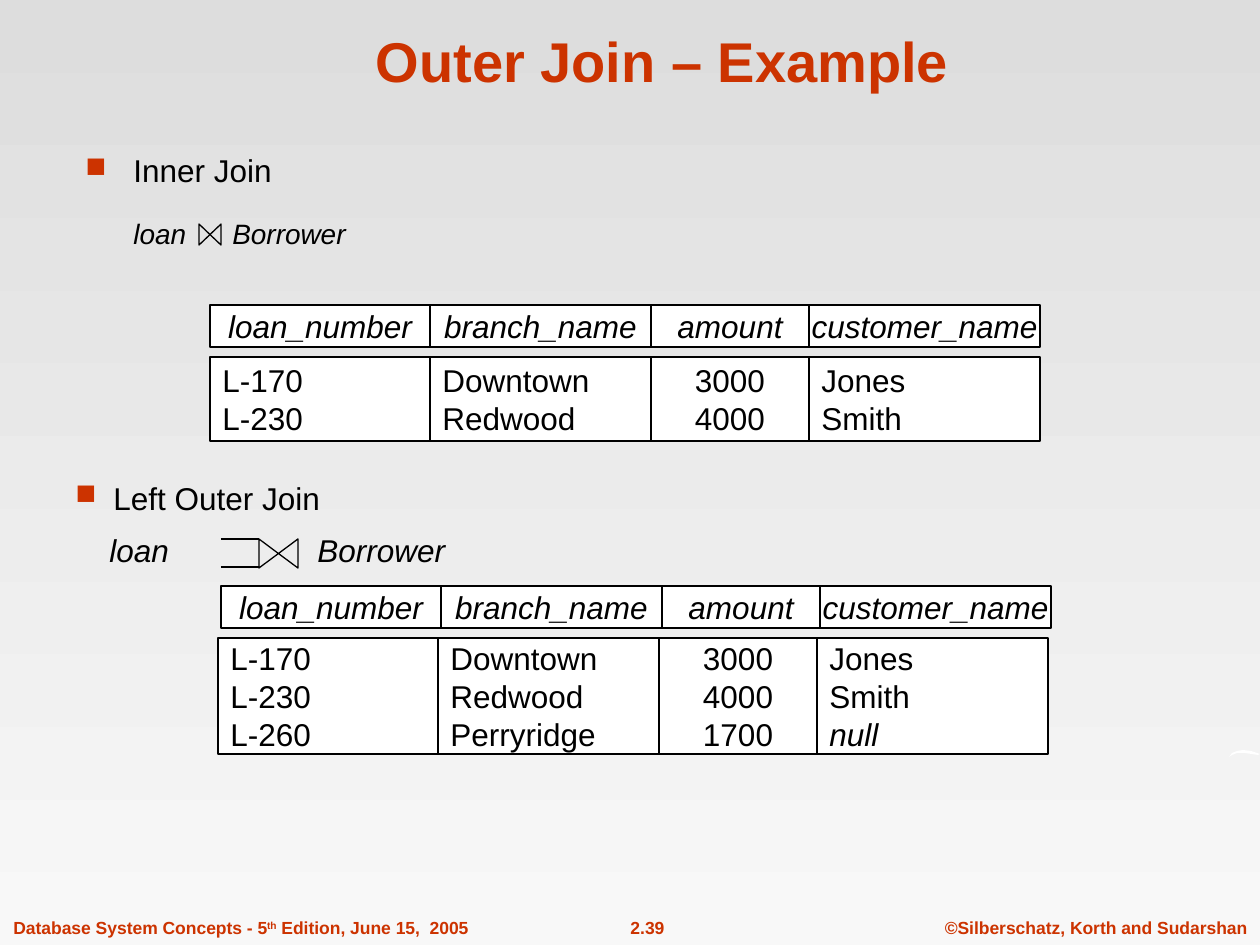
import lxml.etree
import pptx
import pptx.dml.color
import pptx.enum.shapes
import pptx.enum.text
import pptx.oxml.ns
import pptx.util

SCALE = 914400 / 126
RED, BLACK, WHITE = "CC3300", "000000", "FFFFFF"
SHAPES = pptx.enum.shapes.MSO_SHAPE
ALIGN = pptx.enum.text.PP_ALIGN
ANCHOR = pptx.enum.text.MSO_ANCHOR
HEADINGS = ["loan_number", "branch_name", "amount", "customer_name"]
WIDTHS = [220, 221, 158, 231]


def px(*lengths):
    return [round(length * SCALE) for length in lengths]


def color(value):
    return pptx.dml.color.RGBColor.from_string(value)


def add_node(parent, tag, **attributes):
    node = lxml.etree.SubElement(parent, pptx.oxml.ns.qn(tag))
    for name, value in attributes.items():
        node.set(name, str(value))
    return node


def write(shape, text, size=18, ink=BLACK, bold=False, italic=False,
          align=ALIGN.LEFT, before=0, spacing=None, hang=0, tabs=()):
    frame = shape.text_frame
    para = frame.paragraphs[0] if not frame.text else frame.add_paragraph()
    para.alignment, para.space_before = align, pptx.util.Pt(before)
    if spacing:
        para.line_spacing = spacing
    props = para._p.get_or_add_pPr()
    if hang:
        props.set("marL", str(px(hang)[0]))
        props.set("indent", str(px(-hang)[0]))
        add_node(add_node(props, "a:buClr"), "a:srgbClr", val=RED)
        add_node(props, "a:buSzPct", val=90000)
        add_node(props, "a:buChar", char="■")
    if tabs:
        tab_list = add_node(props, "a:tabLst")
        for stop in tabs:
            add_node(tab_list, "a:tab", pos=px(stop)[0], algn="l")
    for index, part in enumerate(text.split("^")):
        span = para.add_run()
        span.text = part
        span.font.name, span.font.size = "Arial", pptx.util.Pt(size)
        span.font.bold, span.font.italic = bold, italic
        span.font.color.rgb = color(ink)
        if index % 2:
            span._r.get_or_add_rPr().set("baseline", "30000")


def add_text_box(page, box, wrap=True):
    shape = page.shapes.add_textbox(*px(*box))
    shape.text_frame.word_wrap = wrap
    return shape


def outline(shape):
    shape.line.color.rgb = color(BLACK)
    shape.line.width = pptx.util.Pt(0.75)


def set_background(page):
    fill = page.background.fill
    fill.gradient()
    fill.gradient_angle = 270
    for stop, position, value in zip(fill.gradient_stops, (0, 1), ("DDDDDD", "F8F8F8")):
        stop.position, stop.color.rgb = position, color(value)


def add_title(page, box, text):
    title = page.shapes.title
    title.left, title.top, title.width, title.height = px(*box)
    title.text_frame.vertical_anchor = ANCHOR.BOTTOM
    write(title, text, size=32, ink=RED, bold=True, align=ALIGN.CENTER)


def add_footer(page, top, height):
    for left, width, text, align in [
        (1, 480, "Database System Concepts - 5^th^ Edition, June 15,  2005", ALIGN.LEFT),
        (586, 123, "2.39", ALIGN.CENTER),
        (932, 328, "©Silberschatz, Korth and Sudarshan", ALIGN.CENTER),
    ]:
        shape = add_text_box(page, (left, top, width, height), wrap=False)
        write(shape, text, size=10, ink=RED, bold=True, align=align)


def add_edge_stroke(page, left, top):
    points = [(0, 7), (3, 3), (8, 1), (14, 0), (22, 1), (31, 4), (29, 5),
              (16, 3), (8, 3), (3, 5)]
    points = [(left + x, top + y) for x, y in points]
    builder = page.shapes.build_freeform(*points[0], scale=SCALE)
    builder.add_line_segments(points[1:], close=True)
    stroke = builder.convert_to_shape()
    stroke.shadow.inherit = False
    stroke.fill.solid()
    stroke.fill.fore_color.rgb = color(WHITE)
    stroke.line.fill.background()


def add_heading(page, box, name, hang, tabs, size, before, spacing):
    shape = add_text_box(page, box)
    write(shape, name, hang=hang, spacing=spacing)
    write(shape, "\tloan\tBorrower", size=size, italic=True, before=before,
          spacing=spacing, tabs=tabs)


def add_bow_tie(page, box):
    left, top, width, height = box
    shape = page.shapes.add_shape(
        SHAPES.FLOWCHART_COLLATE,
        *px(left + (width - height) / 2, top + (height - width) / 2, height, width))
    shape.rotation = 270
    shape.shadow.inherit = False
    shape.fill.background()
    outline(shape)


def add_left_join(page, box):
    left, top, width, height = box
    tail = 38
    add_bow_tie(page, (left + tail, top, width - tail, height))
    for y in (top, top + height - 1):
        line = page.shapes.add_connector(
            pptx.enum.shapes.MSO_CONNECTOR.STRAIGHT, *px(left, y, left + tail, y))
        outline(line)
        add_node(line._element.spPr, "a:effectLst")


def add_row(page, left, top, height, cells, header=False):
    for column, (width, lines) in enumerate(zip(WIDTHS, cells)):
        x = left + sum(WIDTHS[:column])
        cell = page.shapes.add_shape(SHAPES.RECTANGLE, *px(x, top, width, height))
        cell.shadow.inherit = False
        cell.fill.solid()
        cell.fill.fore_color.rgb = color(WHITE)
        outline(cell)
        cell.text_frame.word_wrap = not header
        cell.text_frame.vertical_anchor = ANCHOR.MIDDLE
        centred = header or HEADINGS[column] == "amount"
        for text in lines:
            write(cell, text, italic=header or text == "null",
                  align=ALIGN.CENTER if centred else ALIGN.LEFT)


def add_relation(page, left, top, height, records, shift=0):
    add_row(page, left, top, 42, [[name] for name in HEADINGS], header=True)
    add_row(page, left + shift, top + 52, height, list(zip(*records)))


def main():
    deck = pptx.Presentation()
    deck.slide_width, deck.slide_height = px(1260, 945)
    page = deck.slides.add_slide(deck.slide_layouts[5])
    set_background(page)
    add_footer(page, 911, 34)
    add_edge_stroke(page, 1229, 750)
    add_title(page, (106, 16, 1113, 84), "Outer Join – Example")

    records = [("L-170", "Downtown", "3000", "Jones"),
               ("L-230", "Redwood", "4000", "Smith")]
    add_heading(page, (73, 149, 1081, 116), "Inner Join", hang=48,
                tabs=(48, 147), size=16, before=18, spacing=0.9)
    add_bow_tie(page, (199, 224, 22, 21))
    add_relation(page, 210, 305, 84, records)

    records.append(("L-260", "Perryridge", "1700", "null"))
    add_heading(page, (63, 473, 945, 102), "Left Outer Join", hang=38,
                tabs=(34, 242), size=18, before=7.9, spacing=1)
    add_left_join(page, (221, 539, 77, 29))
    add_relation(page, 221, 586, 116, records, shift=-3)
    deck.save("out.pptx")


if __name__ == "__main__":
    main()
